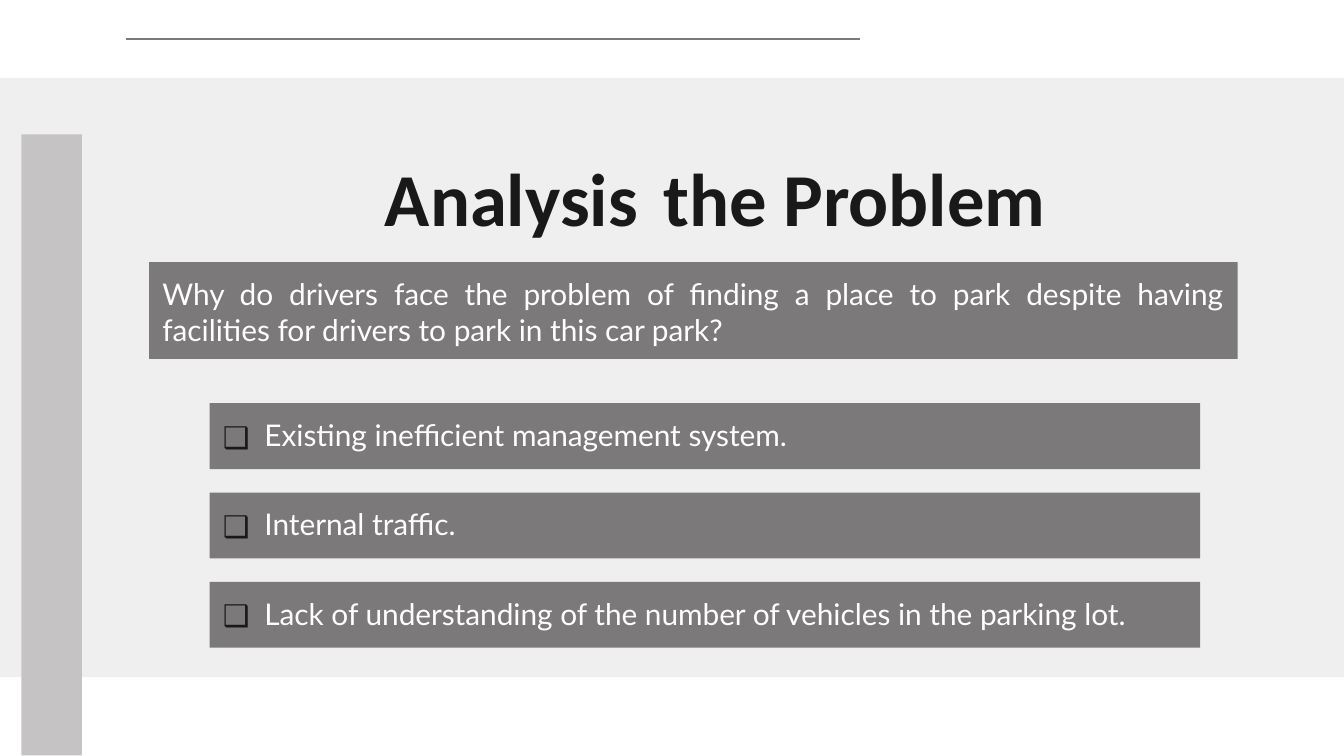
"""Builds the slide that analyses the car park problem."""
import pptx
import pptx.dml.color
import pptx.enum.shapes
import pptx.enum.text
import pptx.oxml
import pptx.oxml.ns
import pptx.util
from pptx.util import Inches

COLORS = {"pale": "C5C3C4", "gray": "7B797A", "ink": "191919", "white": "FFFFFF"}
QUESTION = ("Why do drivers face the problem of finding a place to park "
            "despite having facilities for drivers to park in this car park? ")
CAUSES = [
    "Existing inefficient management system.",
    "Internal traffic.",
    "Lack of understanding of the number of vehicles in the parking lot.",
]
TITLE_RUNS = [("Analysis", 40), (" ", 60), ("the Problem ", 40)]


def rgb(name):
    """Return the named colour."""
    return pptx.dml.color.RGBColor.from_string(COLORS[name])


def xml(tag, content="", attributes=""):
    """Return a DrawingML element."""
    namespace = pptx.oxml.ns.nsdecls("a")
    return pptx.oxml.parse_xml(f"<a:{tag} {namespace} {attributes}>{content}</a:{tag}>")


def prepare_frame(frame, anchor):
    """Set wrapping, insets and anchor of a text frame."""
    frame.word_wrap = True
    frame.vertical_anchor = anchor
    frame.margin_left = frame.margin_right = Inches(0.1)
    frame.margin_top = frame.margin_bottom = Inches(0.1)


def style_run(run, font, size, color, bold=False):
    """Format one run."""
    run.font.name = font
    run.font.size = pptx.util.Pt(size)
    run.font.bold = bold
    run.font.color.rgb = rgb(color)


def add_block(slide, left, top, width, height, color):
    """Add a plain filled rectangle."""
    block = slide.shapes.add_shape(
        pptx.enum.shapes.MSO_SHAPE.RECTANGLE,
        Inches(left), Inches(top), Inches(width), Inches(height))
    block.shadow.inherit = False
    block.fill.solid()
    block.fill.fore_color.rgb = rgb(color)
    block.line.fill.background()
    return block


def add_panel(slide):
    """Add the translucent background panel."""
    panel = add_block(slide, 0, 0.58, 10, 4.46, "pale")
    tint = panel.fill._xPr.find(".//" + pptx.oxml.ns.qn("a:srgbClr"))
    tint.append(xml("alpha", attributes='val="25000"'))


def add_title(slide):
    """Add the centred title."""
    title = slide.shapes.add_textbox(Inches(0.94), Inches(0.71), Inches(8.89), Inches(1.24))
    prepare_frame(title.text_frame, pptx.enum.text.MSO_ANCHOR.BOTTOM)
    heading = title.text_frame.paragraphs[0]
    heading.alignment = pptx.enum.text.PP_ALIGN.CENTER
    for words, size in TITLE_RUNS:
        run = heading.add_run()
        run.text = words
        style_run(run, "Calibri", size, "ink", True)


def add_rule(slide):
    """Add the thin line at the top."""
    rule = slide.shapes.add_connector(
        pptx.enum.shapes.MSO_CONNECTOR.STRAIGHT,
        Inches(0.94), Inches(0.29), Inches(6.4), Inches(0.29))
    rule.line.color.rgb = rgb("gray")
    rule.line.width = pptx.util.Pt(0.75)
    rule._element.spPr.append(xml("effectLst"))


def add_statement(slide, words, left, top, width, height, bulleted=False):
    """Add a grey bar with justified text and an optional box bullet."""
    bar = add_block(slide, left, top, width, height, "gray")
    prepare_frame(bar.text_frame, pptx.enum.text.MSO_ANCHOR.TOP)
    bar.text_frame.text = words
    statement = bar.text_frame.paragraphs[0]
    statement.alignment = pptx.enum.text.PP_ALIGN.JUSTIFY
    if bulleted:
        properties = statement._p.get_or_add_pPr()
        properties.set("marL", str(Inches(0.31)))
        properties.set("indent", str(Inches(-0.31)))
        properties.append(xml("buClr", f'<a:srgbClr val="{COLORS["ink"]}"/>'))
        properties.append(xml("buFont", attributes='typeface="Noto Sans Symbols"'))
        properties.append(xml("buChar", attributes='char="❑"'))
    style_run(statement.runs[0], "Lato", 16, "white")


def main():
    """Build and save the slide."""
    deck = pptx.Presentation()
    deck.slide_width = Inches(10)
    deck.slide_height = deck.slide_width * 9 // 16
    slide = deck.slides.add_slide(deck.slide_layouts[6])
    add_panel(slide)
    add_block(slide, 0.16, 1, 0.45, 4.62, "pale")
    add_title(slide)
    add_statement(slide, QUESTION, 1.11, 1.95, 8.1, 0.72)
    add_rule(slide)
    for row, cause in enumerate(CAUSES):
        add_statement(slide, cause, 1.56, 3 + row * 1.33 / 2, 7.37, 0.49, bulleted=True)
    deck.save("out.pptx")


if __name__ == "__main__":
    main()
